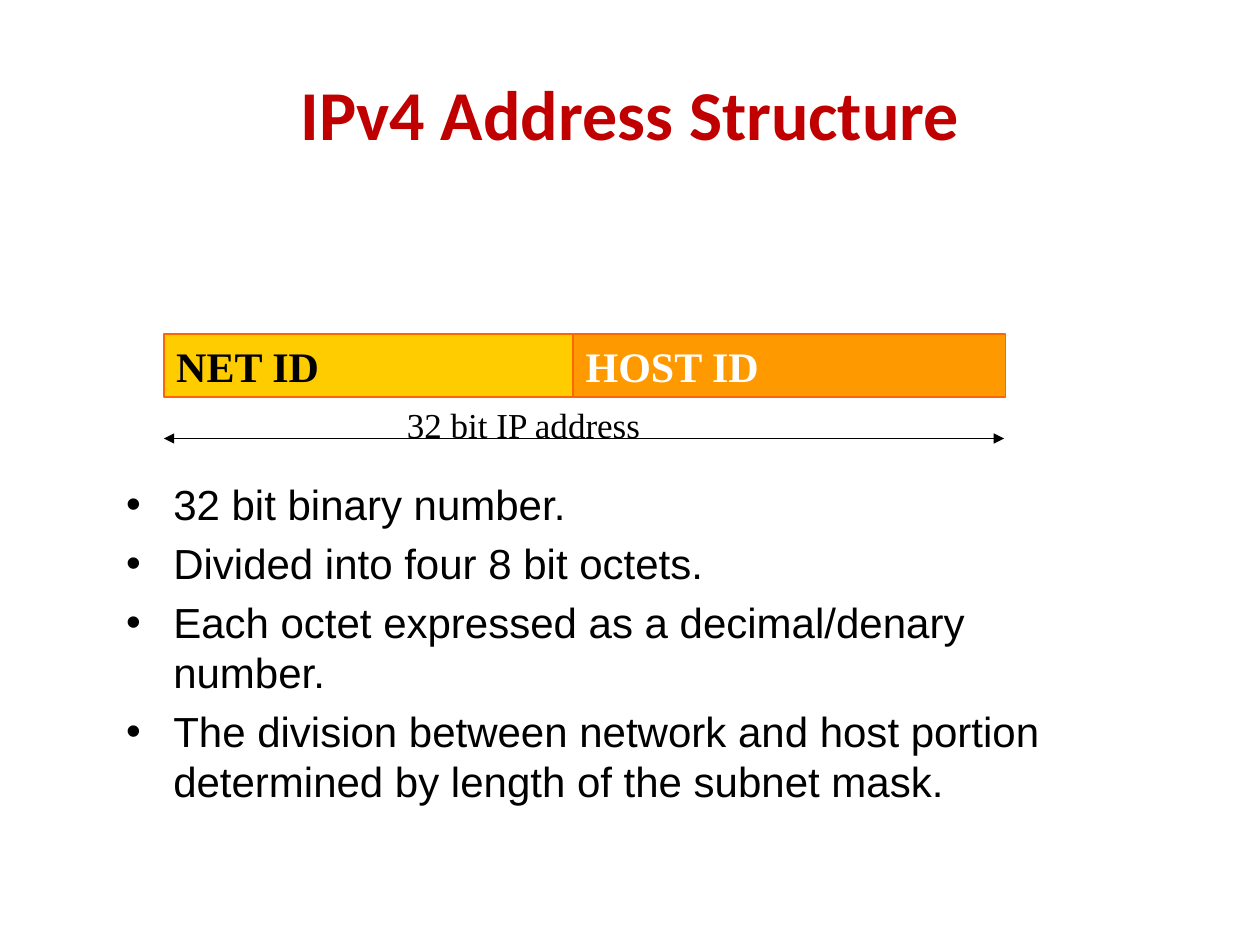
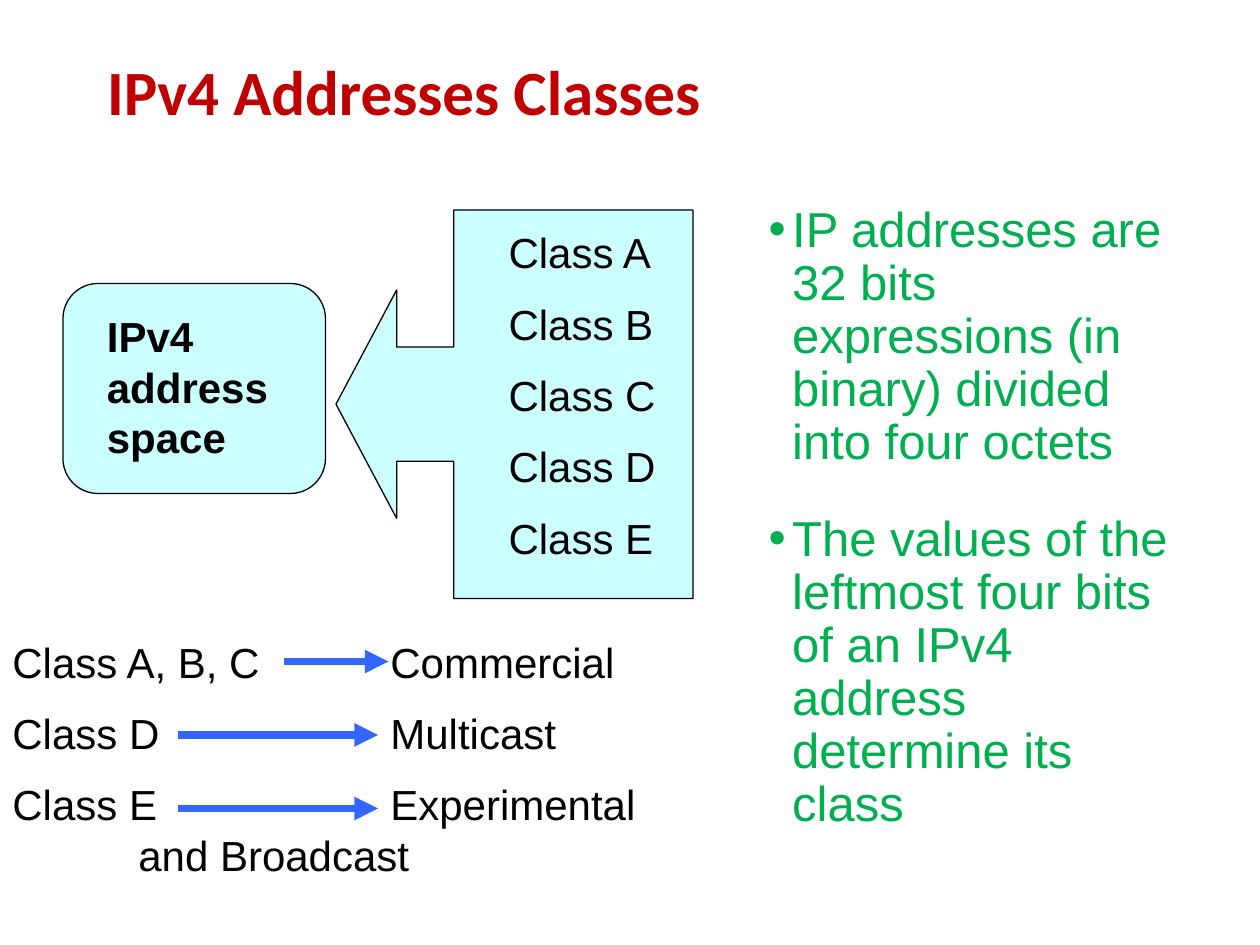
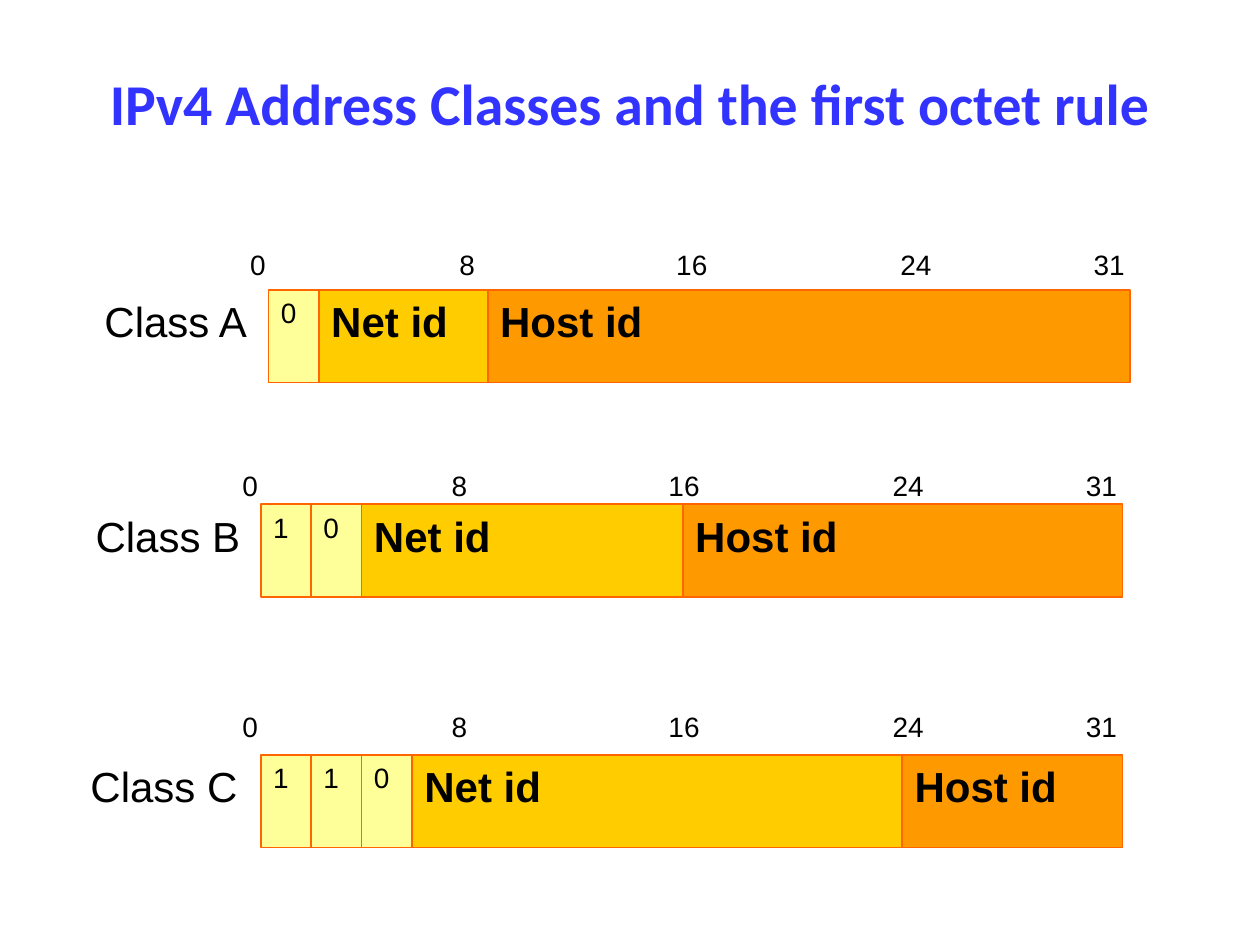
from lxml import etree
from pptx import Presentation
from pptx.dml.color import RGBColor
from pptx.enum.shapes import MSO_CONNECTOR, MSO_SHAPE
from pptx.enum.text import MSO_ANCHOR, MSO_AUTO_SIZE, PP_ALIGN
from pptx.oxml.ns import qn
from pptx.util import Pt

LEFT, CENTER = PP_ALIGN.LEFT, PP_ALIGN.CENTER
TOP, MIDDLE = MSO_ANCHOR.TOP, MSO_ANCHOR.MIDDLE
NO_AUTOFIT = MSO_AUTO_SIZE.NONE
STRAIGHT = MSO_CONNECTOR.STRAIGHT
RECT, ROUNDED = MSO_SHAPE.RECTANGLE, MSO_SHAPE.ROUNDED_RECTANGLE
CALLOUT = MSO_SHAPE.LEFT_ARROW_CALLOUT

BLACK, WHITE, RED, BLUE, GREEN = "000000", "FFFFFF", "C00000", "3333FF", "00B050"
NET_FILL, HOST_FILL, BIT_FILL, FIELD_LINE = "FFCC00", "FF9900", "FFFF99", "FF6600"
CLASS_FILL, ARROW_BLUE = "CCFFFF", "3366FF"
SANS, SERIF, HEADING = "Arial", "Times New Roman", "Calibri"
TITLE_AND_CONTENT, TITLE_ONLY = 1, 5

STRUCTURE_TITLE = "IPv4 Address Structure"
STRUCTURE_FIELDS = [
    ("NET ID", 93.6, 234, NET_FILL, BLACK),
    ("HOST ID", 327.6, 247, HOST_FILL, WHITE),
]
STRUCTURE_SPAN = "32 bit IP address"
STRUCTURE_POINTS = [
    "32 bit binary number.",
    "Divided into four 8 bit octets.",
    "Each octet expressed as a decimal/denary number.",
    "The division between network and host portion determined by length of the subnet mask.",
]

CLASSES_TITLE = "IPv4 Addresses Classes"
CLASSES_POINTS = [
    "IP addresses are 32 bits expressions (in binary) divided into four octets",
    "The values of the leftmost four bits of an IPv4 address determine its class",
]
ADDRESS_SPACE = "IPv4 address space"
CLASS_NAMES = ["Class A", "Class B", "Class C", "Class D", "Class E"]
CLASS_USES = [
    "Class A, B, C\tCommercial",
    "Class D\tMulticast",
    "Class E\tExperimental\v\tand Broadcast",
]
USE_TABS = [72, 216]
USE_ARROWS = [(162, 222), (102, 216), (102, 216)]

RULE_TITLE = "IPv4 Address Classes and the first octet rule"
BIT_POSITIONS = ["0", "8", "16", "24", "31"]
POSITION_TABS = [119.5, 243.5, 371.5, 482]
CLASS_LAYOUTS = [
    ("Class A", "0", 125.3, 153.4, 165.6, 138.2, 52.6),
    ("Class B", "10", 241.2, 149, 288, 264.2, 47.5),
    ("Class C", "110", 366.5, 149, 431.3, 401.8, 44.6),
]
BIT_WIDTH, ADDRESS_WIDTH, FIELD_HEIGHT = 28.8, 492.5, 53


def rgb(hex_colour):
    return RGBColor.from_string(hex_colour)


def place(item, left, top, width, height):
    item.left, item.top, item.width, item.height = map(Pt, (left, top, width, height))


def write(item, lines, size, font=SANS, colour=BLACK, bold=False, align=LEFT,
          anchor=TOP, gap=0, spacing=1, hang=0, tabs=()):
    frame = item.text_frame
    frame.text = "\n".join(lines)
    frame.word_wrap = True
    frame.auto_size = NO_AUTOFIT
    frame.vertical_anchor = anchor
    for index, paragraph in enumerate(frame.paragraphs):
        props = paragraph._p.get_or_add_pPr()
        if hang:
            props.set("marL", str(Pt(hang)))
            props.set("indent", str(-Pt(hang)))
            etree.SubElement(props, qn("a:buChar"), char="•")
        if tabs:
            stops = etree.SubElement(props, qn("a:tabLst"))
            for stop in tabs:
                etree.SubElement(stops, qn("a:tab"), pos=str(Pt(stop)), algn="l")
        paragraph.alignment = align
        paragraph.line_spacing = spacing
        paragraph.space_before = Pt(gap if index else 0)
        for run in paragraph.runs:
            run.font.size = Pt(size)
            run.font.name = font
            run.font.bold = bold
            run.font.color.rgb = rgb(colour)


def add_slide(deck, layout, title, box, size, colour, align=CENTER):
    slide = deck.slides.add_slide(deck.slide_layouts[layout])
    place(slide.shapes.title, *box)
    write(slide.shapes.title, [title], size, HEADING, colour, True, align, MIDDLE, spacing=0.9)
    return slide


def add_body(slide, points, box, size, **style):
    body = slide.placeholders[1]
    place(body, *box)
    write(body, points, size, **style)


def add_text(slide, lines, box, size, **style):
    label = slide.shapes.add_textbox(*map(Pt, box))
    write(label, lines, size, **style)
    return label


def add_box(slide, kind, box, fill, line=None, weight=0.75):
    shape = slide.shapes.add_shape(kind, *map(Pt, box))
    shape.shadow.inherit = False
    shape.fill.solid()
    shape.fill.fore_color.rgb = rgb(fill)
    if line:
        shape.line.color.rgb = rgb(line)
        shape.line.width = Pt(weight)
    else:
        shape.line.fill.background()
    return shape


def add_field(slide, label, box, fill, size=24, **style):
    write(add_box(slide, RECT, box, fill, FIELD_LINE, 1), [label], size, **style)


def add_arrow(slide, start, end, y, colour, weight, ends=("tailEnd",)):
    arrow = slide.shapes.add_connector(STRAIGHT, Pt(start), Pt(y), Pt(end), Pt(y))
    arrow.line.color.rgb = rgb(colour)
    arrow.line.width = Pt(weight)
    for end_name in ends:
        etree.SubElement(arrow.line._ln, qn(f"a:{end_name}"), type="triangle")
    etree.SubElement(arrow._element.spPr, qn("a:effectLst"))


def build_structure(deck):
    slide = add_slide(deck, TITLE_AND_CONTENT, STRUCTURE_TITLE, (49.7, 28.8, 620.6, 77), 40, RED)
    for label, left, width, fill, colour in STRUCTURE_FIELDS:
        add_field(slide, label, (left, 190.8, width, 36), fill,
                  font=SERIF, colour=colour, bold=True)
    add_arrow(slide, 93.6, 573.8, 250.6, BLACK, 0.75, ("headEnd", "tailEnd"))
    add_text(slide, [STRUCTURE_SPAN], (225.4, 226.8, 162, 31), 20, font=SERIF)
    add_body(slide, STRUCTURE_POINTS, (64.8, 270, 544.3, 199.4), 24, gap=4.8, hang=27)


def build_classes(deck):
    slide = add_slide(deck, TITLE_AND_CONTENT, CLASSES_TITLE, (54, 30.2, 612, 48.2), 36, RED, LEFT)
    add_body(slide, CLASSES_POINTS, (432, 113.8, 252, 383.8), 28,
             colour=GREEN, gap=25.3, spacing=0.9, hang=13.5)
    add_box(slide, ROUNDED, (36, 162, 150, 120), CLASS_FILL, BLACK)
    space = add_box(slide, RECT, (54, 174.2, 120, 93.6), CLASS_FILL)
    write(space, [ADDRESS_SPACE], 24, bold=True)
    callout = add_box(slide, CALLOUT, (192, 120, 204, 222), CLASS_FILL, BLACK)
    for index, ratio in enumerate((0.32, 0.32, 0.17, 0.67)):
        callout.adjustments[index] = ratio
    add_text(slide, CLASS_NAMES, (283.5, 126, 106, 209), 24, gap=12)
    add_text(slide, CLASS_USES, (0, 360, 426, 151), 24, gap=12, tabs=USE_TABS)
    for row, (start, end) in enumerate(USE_ARROWS):
        add_arrow(slide, start, end, 378 + 42 * row, ARROW_BLUE, 4.5)


def build_octet_rule(deck):
    slide = add_slide(deck, TITLE_ONLY, RULE_TITLE, (49.7, 28.8, 620.6, 64), 33, BLUE)
    for name, bits, host_offset, left, top, ruler_top, name_left in CLASS_LAYOUTS:
        net_offset = BIT_WIDTH * len(bits)
        for index, bit in enumerate(bits):
            add_field(slide, bit, (left + BIT_WIDTH * index, top, BIT_WIDTH, FIELD_HEIGHT),
                      BIT_FILL, size=16)
        for label, start, end, fill in (("Net id", net_offset, host_offset, NET_FILL),
                                        ("Host id", host_offset, ADDRESS_WIDTH, HOST_FILL)):
            add_field(slide, label, (left + start, top, end - start, FIELD_HEIGHT),
                      fill, bold=True)
        add_text(slide, [name], (name_left, top, left - name_left, FIELD_HEIGHT), 24)
        ruler = add_text(slide, ["\t".join(BIT_POSITIONS)], (left - 22, ruler_top, 574, FIELD_HEIGHT),
                         16, tabs=POSITION_TABS)
        ruler.text_frame.margin_left = Pt(11.5)


def main():
    deck = Presentation()
    deck.slide_width, deck.slide_height = Pt(720), Pt(540)
    build_structure(deck)
    build_classes(deck)
    build_octet_rule(deck)
    deck.save("out.pptx")


if __name__ == "__main__":
    main()
